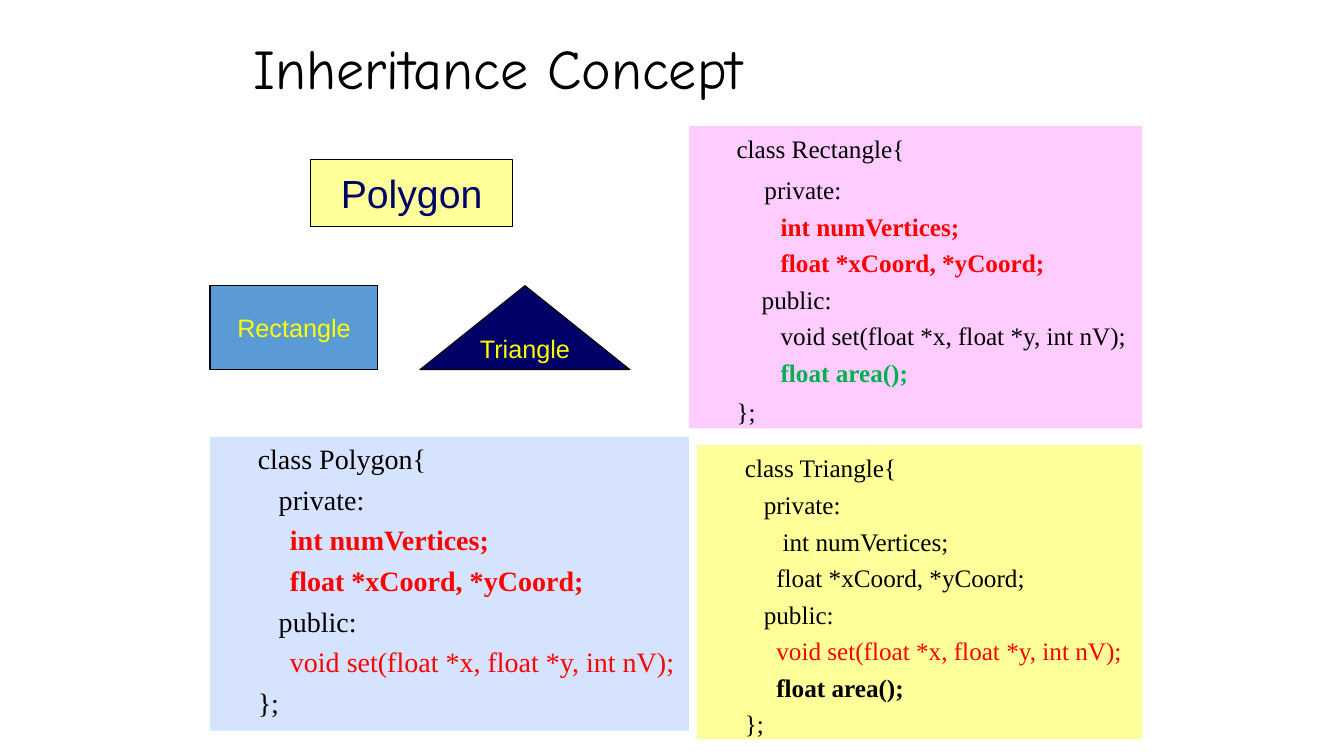
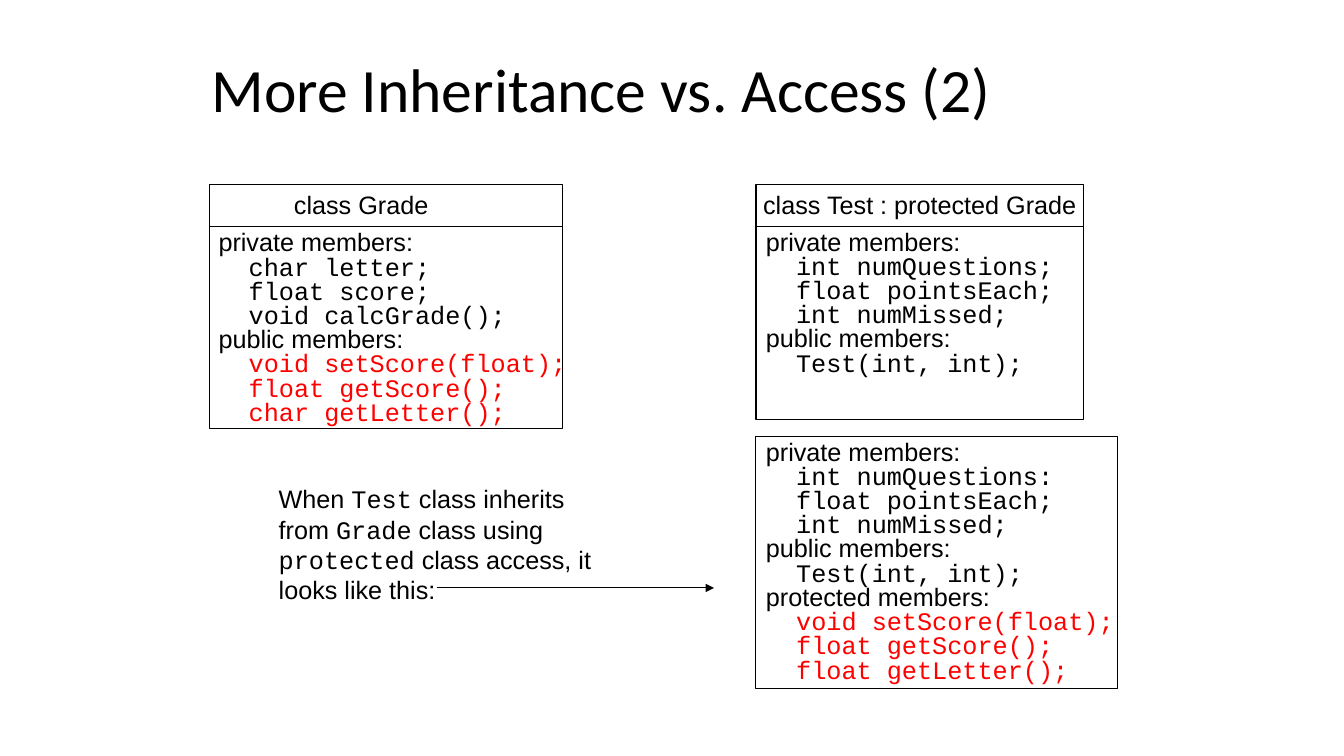
from lxml import etree
from pptx import Presentation
from pptx.dml.color import RGBColor
from pptx.enum.shapes import MSO_CONNECTOR, MSO_SHAPE
from pptx.enum.text import MSO_ANCHOR, PP_ALIGN
from pptx.oxml.ns import qn
from pptx.util import Pt

RECT, TRIANGLE = MSO_SHAPE.RECTANGLE, MSO_SHAPE.ISOSCELES_TRIANGLE
TOP, MIDDLE = MSO_ANCHOR.TOP, MSO_ANCHOR.MIDDLE
LEFT, CENTER = PP_ALIGN.LEFT, PP_ALIGN.CENTER
STRAIGHT = MSO_CONNECTOR.STRAIGHT

BLACK = RGBColor(0x00, 0x00, 0x00)
RED = RGBColor(0xFF, 0x00, 0x00)
GREEN = RGBColor(0x00, 0xB0, 0x50)
YELLOW = RGBColor(0xFF, 0xFF, 0x00)
PALE_YELLOW = RGBColor(0xFF, 0xFF, 0x99)
PINK = RGBColor(0xFF, 0xCC, 0xFF)
PALE_BLUE = RGBColor(0xD5, 0xE3, 0xFF)
BLUE = RGBColor(0x5B, 0x9B, 0xD5)
NAVY = RGBColor(0x00, 0x00, 0x66)

SANS, MONO, SERIF = "Arial", "Courier New", "Times New Roman"
RED_BOLD = {"color": RED, "bold": True}
GREEN_BOLD = {"color": GREEN, "bold": True}
TITLE = {"anchor": MIDDLE, "leading": 0.9}


def add_text(slide, box, paragraphs, font=SANS, size=18, color=BLACK, align=LEFT,
             anchor=TOP, wrap=True, leading=None, gap=0, inset_top=3.6):
    """Fill a text box, or a shape given as box, with (runs, style) paragraphs."""
    if isinstance(box, tuple):
        box = slide.shapes.add_textbox(*map(Pt, box))
    frame = box.text_frame
    frame.word_wrap = wrap
    frame.vertical_anchor = anchor
    frame.margin_top = Pt(inset_top)
    for number, (runs, style) in enumerate(paragraphs):
        paragraph = frame.add_paragraph() if number else frame.paragraphs[0]
        paragraph.alignment = align
        paragraph.space_before = Pt(style.get("gap", gap))
        if leading:
            paragraph.line_spacing = leading
        if "indent" in style:
            paragraph._p.get_or_add_pPr().set("marL", str(Pt(style["indent"])))
        if isinstance(runs, str):
            runs = [(runs, style.get("font", font))]
        for words, face in runs:
            run = paragraph.add_run()
            run.text = words
            run.font.name = face
            run.font.size = Pt(size)
            run.font.bold = style.get("bold", False)
            run.font.color.rgb = style.get("color", color)


def add_figure(slide, box, kind=RECT, fill=None, line=None):
    """Add a flat preset shape with an optional fill and thin outline."""
    figure = slide.shapes.add_shape(kind, *map(Pt, box))
    figure.shadow.inherit = False
    if fill is None:
        figure.fill.background()
    else:
        figure.fill.solid()
        figure.fill.fore_color.rgb = fill
    if line is None:
        figure.line.fill.background()
    else:
        figure.line.color.rgb = line
        figure.line.width = Pt(0.75)
    return figure


deck = Presentation()
deck.slide_width, deck.slide_height = Pt(960), Pt(540)
blank = deck.slide_layouts[6]

# Slide 1: the class family and its code
concept = deck.slides.add_slide(blank)
add_text(concept, (174, 24, 612, 54), [("Inheritance Concept", {})],
         font="Comic Neue", size=40, **TITLE)

family = [
    ("Polygon", (222, 114, 144, 48), RECT, PALE_YELLOW, NAVY, 28),
    ("Rectangle", (150, 204, 120, 60), RECT, BLUE, YELLOW, 18),
    ("Triangle", (300, 204, 150, 60), TRIANGLE, NAVY, YELLOW, 18),
]
for label, box, kind, fill, color, size in family:
    add_text(concept, add_figure(concept, box, kind, fill, BLACK), [(label, {})],
             size=size, color=color, align=CENTER, anchor=MIDDLE, wrap=False)

VERTICES = "int numVertices;"
COORDS = "float *xCoord, *yCoord;"
SETTER = "void set(float *x, float *y, int nV);"
AREA = "float area();"
# Each code line: indent, text, extra style
listings = [
    ((492, 90, 324, 216), PINK, 18, 4.5, 5.4, [
        (27, "class Rectangle{", {}),
        (47, "private:", {"gap": 7.5}),
        (58.5, VERTICES, RED_BOLD),
        (58.5, COORDS, RED_BOLD),
        (45, "public:", {}),
        (58.5, SETTER, {}),
        (58.5, AREA, GREEN_BOLD),
        (27, "};", {"gap": 6.5})]),
    ((150, 312, 342, 210), PALE_BLUE, 20, 5, 3.6, [
        (27, "class Polygon{", {}),
        (42, "private:", {}),
        (50, VERTICES, RED_BOLD),
        (50, COORDS, RED_BOLD),
        (42, "public:", {}),
        (50, SETTER, {"color": RED}),
        (27, "};", {})]),
    ((498, 318, 318, 210), PALE_YELLOW, 18, 4.5, 5.4, [
        (27, "class Triangle{", {}),
        (40.5, "private:", {}),
        (54, VERTICES, {}),
        (49.5, COORDS, {}),
        (40.5, "public:", {}),
        (49.5, SETTER, {"color": RED}),
        (49.5, AREA, {"bold": True}),
        (27, "};", {})]),
]
for box, fill, size, gap, inset_top, code in listings:
    lines = [(text, {"indent": indent, **style}) for indent, text, style in code]
    add_text(concept, add_figure(concept, box, fill=fill), lines,
             font=SERIF, size=size, gap=gap, inset_top=inset_top)

# Slide 2: members before and after protected inheritance
access = deck.slides.add_slide(blank)
add_text(access, (144, 30, 636, 72), [("More Inheritance vs. Access (2)", {})],
         font="Calibri", size=44, **TITLE)

for heading, heading_box, frame_box in [
    ("class Grade", (201, 132, 114, 29), (150, 132, 252, 30)),
    ("class Test : protected Grade", (528, 132, 258, 29), (540, 132, 234, 30)),
]:
    add_figure(access, frame_box, line=BLACK)
    add_text(access, heading_box, [(heading, {})], align=CENTER)

# Each member list: text box, frame, then (access level, members, colour)
member_lists = [
    ((149, 162.5, 270, 147), (150, 162, 252, 144), [
        ("private", ["char letter;", "float score;", "void calcGrade();"], BLACK),
        ("public", ["void setScore(float);", "float getScore();",
                    "char getLetter();"], RED)]),
    ((540, 162, 222, 112), (540, 162, 234, 138), [
        ("private", ["int numQuestions;", "float pointsEach;",
                     "int numMissed;"], BLACK),
        ("public", ["Test(int, int);"], BLACK)]),
    ((540, 312, 276, 181), (540, 312, 258, 180), [
        ("private", ["int numQuestions:", "float pointsEach;",
                     "int numMissed;"], BLACK),
        ("public", ["Test(int, int);"], BLACK),
        ("protected", ["void setScore(float);", "float getScore();",
                       "float getLetter();"], RED)]),
]
for text_box, frame_box, sections in member_lists:
    lines = []
    for level, members, color in sections:
        lines.append((f"{level} members:", {}))
        lines += [(member, {"font": MONO, "indent": 21.6, "color": color})
                  for member in members]
    add_text(access, text_box, lines, leading=0.8)
    add_figure(access, frame_box, line=BLACK)

add_text(access, (192, 342, 246, 94), [
    ([("When ", SANS), ("Test", MONO), (" class inherits", SANS)], {}),
    ([("from ", SANS), ("Grade", MONO), (" class using", SANS)], {}),
    ([("protected", MONO), (" class access, it looks like this:", SANS)], {}),
])
arrow = access.shapes.add_connector(STRAIGHT, Pt(312), Pt(420), Pt(510), Pt(420))
arrow.line.color.rgb = BLACK
arrow.line.width = Pt(0.75)
etree.SubElement(arrow.line._get_or_add_ln(), qn("a:tailEnd"), type="triangle")
etree.SubElement(arrow._element.spPr, qn("a:effectLst"))

deck.save("out.pptx")
